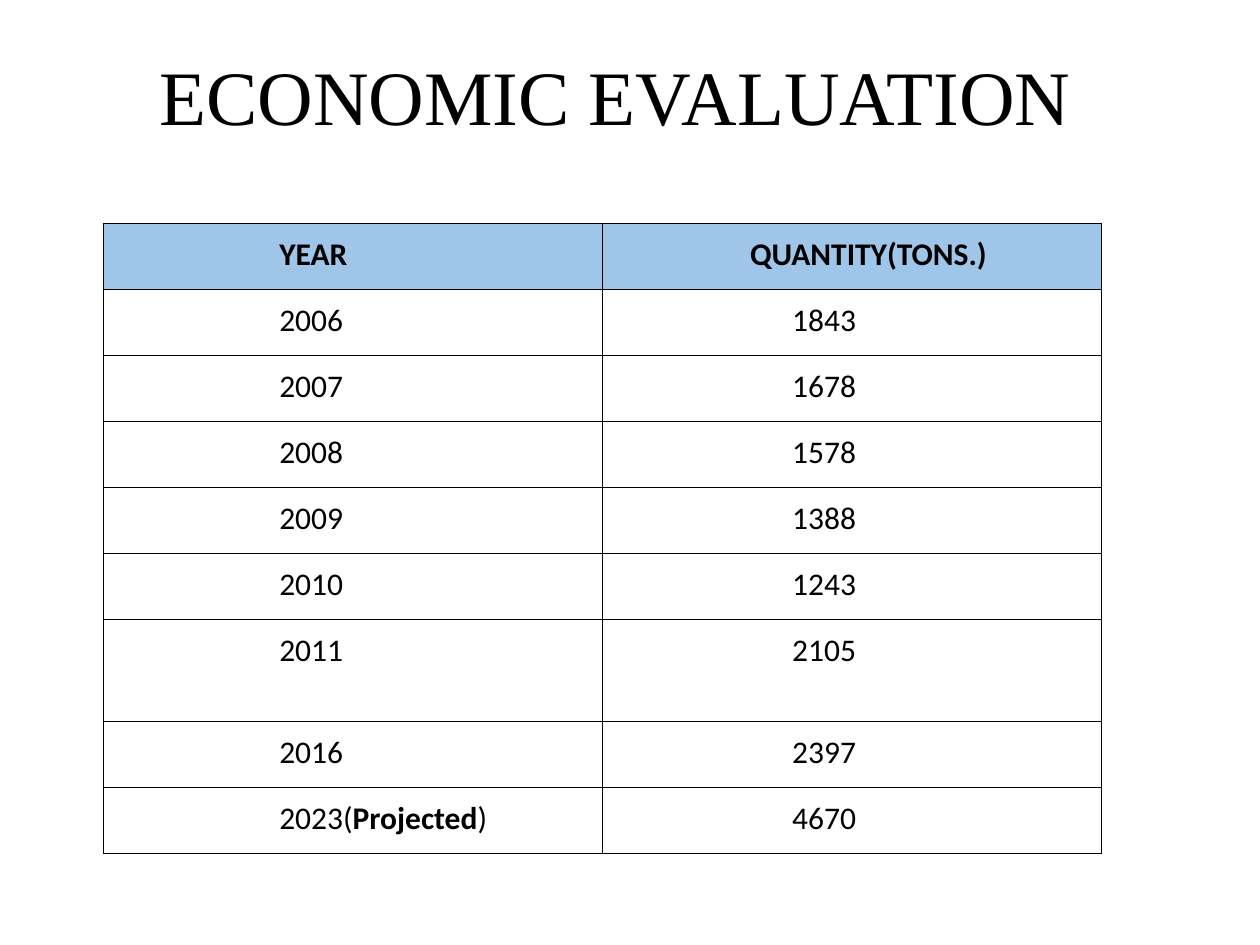
from lxml import etree
from pptx import Presentation
from pptx.dml.color import RGBColor
from pptx.enum.text import MSO_ANCHOR, MSO_AUTO_SIZE, PP_ALIGN
from pptx.oxml.ns import qn
from pptx.util import Cm, Pt

BLACK = RGBColor(0x00, 0x00, 0x00)
HEADER_BLUE = RGBColor(0x9F, 0xC5, 0xE8)
TOP, NO_AUTOFIT, CENTER = MSO_ANCHOR.TOP, MSO_AUTO_SIZE.NONE, PP_ALIGN.CENTER
TITLE_ONLY = 5

HEADINGS = ("YEAR", "QUANTITY(TONS.)")
PRODUCTION = [
    ("2006", "1843"),
    ("2007", "1678"),
    ("2008", "1578"),
    ("2009", "1388"),
    ("2010", "1243"),
    ("2011", "2105"),
    ("2016", "2397"),
    ("2023(*Projected*)", "4670"),
]
TALL_YEAR = "2011"
HEADING_INDENTS = (3.55, 2.98)
VALUE_INDENTS = (3.55, 3.83)
COLUMN_WIDTH = 10.06
ROW_HEIGHT, TALL_ROW_HEIGHT = 1.33, 2.06


class SlideBuilder:
    title_font, title_size = "Times New Roman", Pt(44)
    table_font, table_size = "Calibri", Pt(18)
    border_width = Pt(0.75)
    inset = Cm(0.25)

    def __init__(self, slide):
        self.slide = slide

    def title(self, wording, left, top, width, height):
        heading = self.slide.shapes.title
        heading.left, heading.top = Cm(left), Cm(top)
        heading.width, heading.height = Cm(width), Cm(height)
        frame = heading.text_frame
        frame.text = wording
        frame.auto_size = NO_AUTOFIT
        frame.vertical_anchor = TOP
        frame.margin_left, frame.margin_right = Cm(1.3), self.inset
        frame.margin_top, frame.margin_bottom = Cm(0.44), 0
        paragraph = frame.paragraphs[0]
        paragraph.alignment = CENTER
        self.style(paragraph.font, self.title_font, self.title_size)

    def table(self, rows, left, top):
        columns = len(rows[0])
        grid = self.slide.shapes.add_table(
            len(rows), columns, Cm(left), Cm(top),
            Cm(columns * COLUMN_WIDTH), Cm(len(rows) * ROW_HEIGHT),
        ).table
        grid.first_row = grid.horz_banding = False
        for column in grid.columns:
            column.width = Cm(COLUMN_WIDTH)
        for r, values in enumerate(rows):
            is_tall = values[0] == TALL_YEAR
            grid.rows[r].height = Cm(TALL_ROW_HEIGHT if is_tall else ROW_HEIGHT)
            indents = VALUE_INDENTS if r else HEADING_INDENTS
            for c, (wording, indent) in enumerate(zip(values, indents)):
                self.cell(grid.cell(r, c), wording, indent, is_heading=r == 0)

    def cell(self, cell, wording, indent, is_heading):
        """Fill one table cell; wording between asterisks is bold."""
        cell.margin_left, cell.margin_right = Cm(indent), self.inset
        cell.margin_top = cell.margin_bottom = self.inset
        cell.vertical_anchor = TOP
        self.borders(cell)
        if is_heading:
            cell.fill.solid()
            cell.fill.fore_color.rgb = HEADER_BLUE
        else:
            cell.fill.background()
        paragraph = cell.text_frame.paragraphs[0]
        self.style(paragraph.font, self.table_font, self.table_size)
        paragraph.font.bold = is_heading
        for part, piece in enumerate(wording.split("*")):
            run = paragraph.add_run()
            run.text = piece
            if part % 2:
                run.font.bold = True

    def borders(self, cell):
        properties = cell._tc.get_or_add_tcPr()
        for side in ("a:lnL", "a:lnR", "a:lnT", "a:lnB"):
            line = etree.SubElement(properties, qn(side), w=str(self.border_width))
            fill = etree.SubElement(line, qn("a:solidFill"))
            etree.SubElement(fill, qn("a:srgbClr"), val=str(BLACK))

    def style(self, font, typeface, size):
        font.name, font.size = typeface, size
        font.color.rgb = BLACK


def main():
    deck = Presentation()
    deck.slide_width, deck.slide_height = Cm(25.4), Cm(19.05)
    builder = SlideBuilder(deck.slides.add_slide(deck.slide_layouts[TITLE_ONLY]))
    builder.title("ECONOMIC EVALUATION", left=0.05, top=0.53, width=23.67, height=1.6)
    builder.table([HEADINGS, *PRODUCTION], left=2.08, top=4.5)
    deck.save("out.pptx")


if __name__ == "__main__":
    main()
